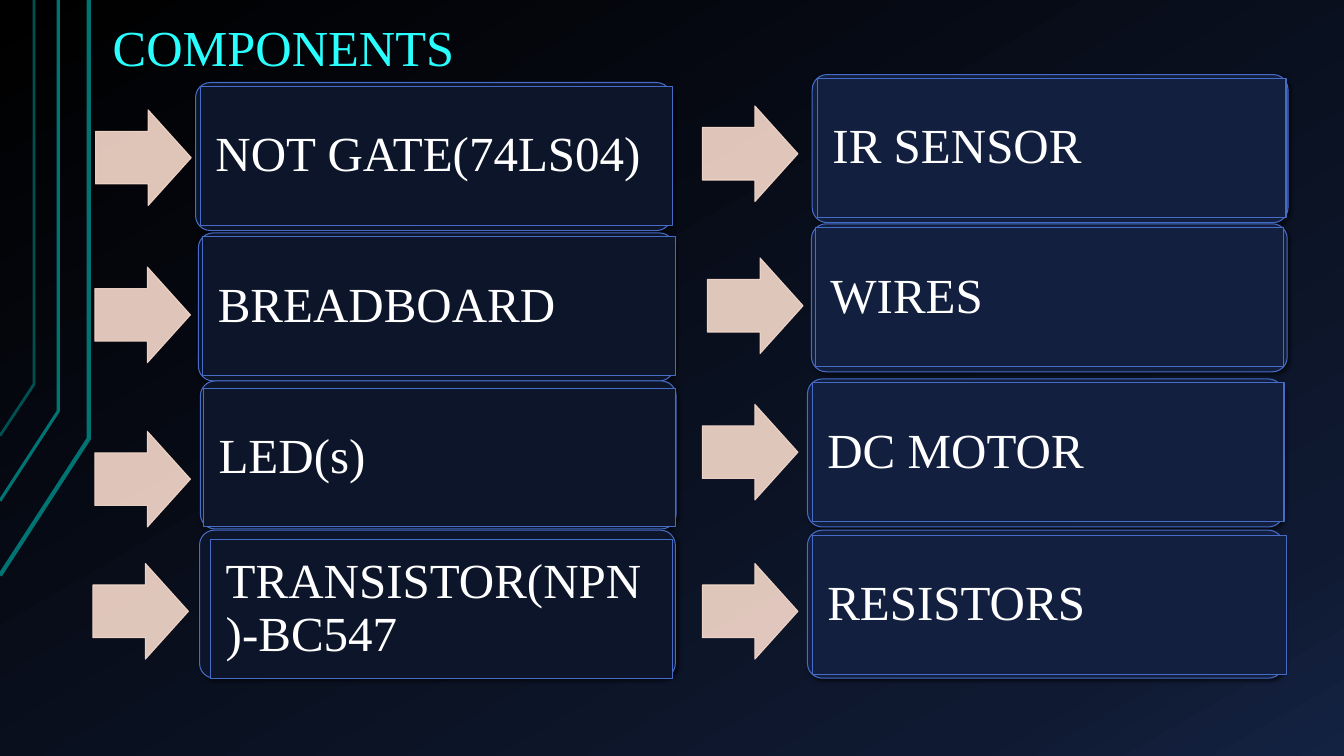
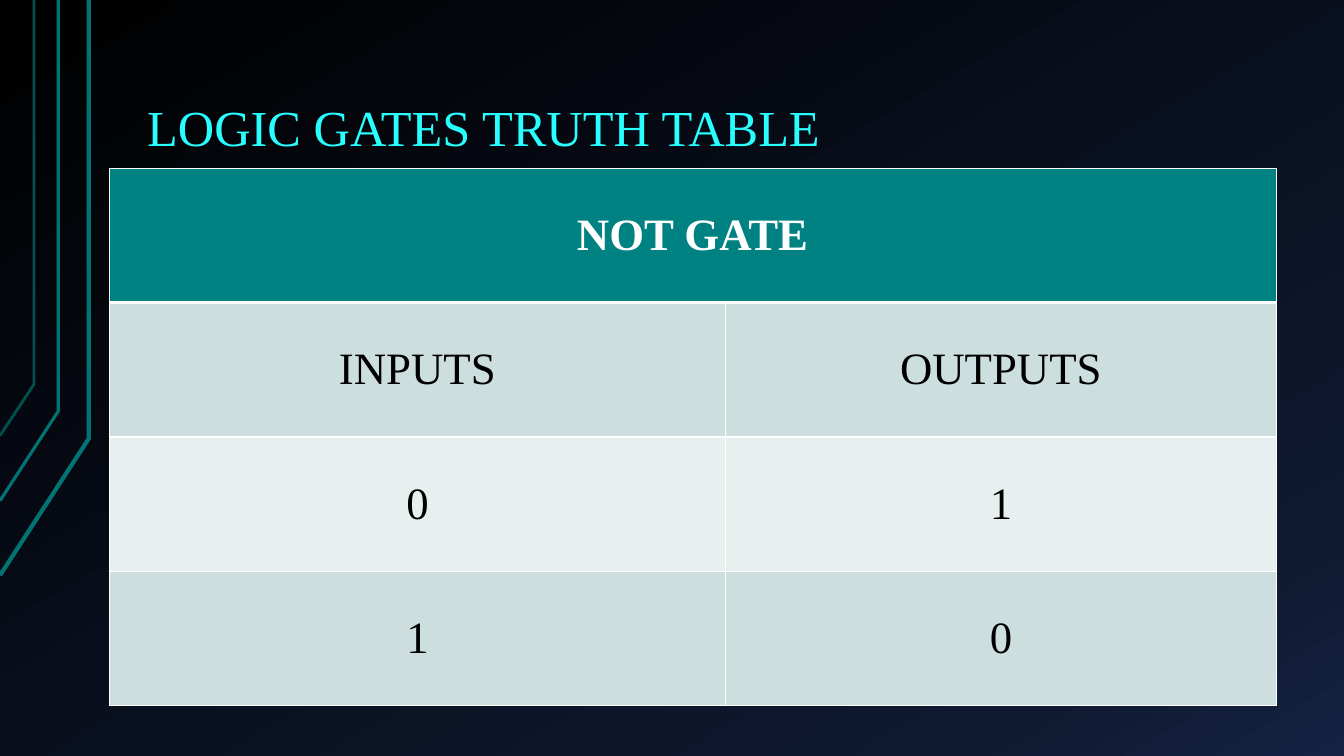
from copy import deepcopy

from lxml import etree
from pptx import Presentation
from pptx import util as u
from pptx.dml import color
from pptx.enum import shapes, text
from pptx.oxml import ns

FONT = "Times New Roman"
WHITE, BLACK = "FFFFFF", "000000"
CYAN, TEAL, DIM_TEAL = "29FFFF", "007373", "005050"
NAVY, BLUE, OUTLINE, PEACH = "0C1529", "131F3E", "466CC7", "F7DACC"
HEADER, BAND_DARK, BAND_LIGHT = "008282", "CCDEDE", "E7EFEF"
BACKDROP = [(0, BLACK), (0.85, "0F1931"), (1, "142242")]
TITLE_W, TITLE_H = 28.78, 3.4
CARD_W, CARD_H, LABEL_H, ARROW = 11.99, 3.73, 3.5, 2.41

# Text, card left and top, label (dx, dy, width), arrow (dx, dy), in cm
LEFT_PARTS = [
    ("NOT GATE(74LS04)", 4.93, 2.08, (0.12, 0.1, 11.89), (-2.52, 0.69)),
    ("BREADBOARD", 5, 5.87, (0.11, 0.1, 11.91), (-2.61, 0.86)),
    ("LED(s)", 5.05, 9.6, (0.08, 0.18, 11.89), (-2.66, 1.27)),
    ("TRANSISTOR(NPN)-BC547", 5.03, 13.36, (0.28, 0.23, 11.63), (-2.69, 0.84)),
]
RIGHT_PARTS = [
    ("IR SENSOR", 20.47, 1.88, (0.13, 0.1, 11.81), (-2.77, 0.79)),
    ("WIRES", 20.45, 5.64, (0.1, 0.1, 11.79), (-2.62, 0.86)),
    ("DC MOTOR", 20.35, 9.55, (0.12, 0.1, 11.89), (-2.65, 0.64)),
    ("RESISTORS", 20.35, 13.36, (0.12, 0.13, 11.96), (-2.65, 0.84)),
]
TRUTH = [("NOT GATE", ""), ("INPUTS", "OUTPUTS"), ("0", "1"), ("1", "0")]


def rgb(value):
    return color.RGBColor.from_string(value)


def sub(parent, tag, **attrs):
    return etree.SubElement(parent, ns.qn(tag), attrs)


def add_run(p, words, size, hex_color, bold=False):
    r = p.add_run()
    r.text = words
    r.font.name, r.font.size, r.font.bold = FONT, u.Pt(size), bold
    r.font.color.rgb = rgb(hex_color)


def set_frame(tf, anchor, margin_x, margin_y):
    tf.word_wrap = True
    tf.auto_size = text.MSO_AUTO_SIZE.NONE
    tf.vertical_anchor = anchor
    tf.margin_left = tf.margin_right = u.Cm(margin_x)
    tf.margin_top = tf.margin_bottom = u.Cm(margin_y)


# Shared backdrop on the master
def paint_background(master):
    fill = master.background.fill
    fill.gradient()
    fill.gradient_angle = 300
    stops = next(master.element.iter(ns.qn("a:gsLst")))
    stops.append(deepcopy(stops[0]))
    for stop, (position, hex_color) in zip(fill.gradient_stops, BACKDROP):
        stop.position = position
        stop.color.rgb = rgb(hex_color)


def add_circuit_lines(slide, master):
    lines = [(2.24, 11.05, 14.5, 3, TEAL), (1.47, 10.36, 12.62, 2.25, TEAL),
             (0.86, 9.68, 10.98, 2, DIM_TEAL)]
    for i, (x, bend, foot, width, hex_color) in enumerate(lines):
        path = slide.shapes.build_freeform(0, u.Cm(foot))
        path.add_line_segments([(u.Cm(x), u.Cm(bend)), (u.Cm(x), 0)], close=False)
        sp = path.convert_to_shape()
        sp.shadow.inherit = False
        sp.fill.background()
        sp.line.color.rgb = rgb(hex_color)
        sp.line.width = u.Pt(width)
        sp.element.nvSpPr.cNvPr.set("id", str(100 + i))
        master.shapes.element.append(sp.element)


def add_title(slide, words, left, top):
    sp = slide.shapes.title
    sp.left, sp.top, sp.width, sp.height = map(u.Cm, (left, top, TITLE_W, TITLE_H))
    set_frame(sp.text_frame, text.MSO_ANCHOR.BOTTOM, 0.33, 0.18)
    p = sp.text_frame.paragraphs[0]
    p.alignment = text.PP_ALIGN.LEFT
    p.line_spacing = 0.9
    add_run(p, words, 36, CYAN)


# Component cards
def add_block(slide, kind, box, fill, line):
    sp = slide.shapes.add_shape(kind, *map(u.Cm, box))
    sp.shadow.inherit = False
    sp.fill.solid()
    sp.fill.fore_color.rgb = rgb(fill)
    sp.line.color.rgb = rgb(line)
    sp.line.width = u.Pt(0.75)
    return sp


def add_shadow(sp):
    effects = sp.element.spPr.find(ns.qn("a:effectLst"))
    shadow = sub(effects, "a:outerShdw", blurRad=str(u.Pt(3)), dist=str(u.Pt(2)),
                 dir="2700000", algn="tl", rotWithShape="0")
    sub(sub(shadow, "a:srgbClr", val=BLACK), "a:alpha", val="60000")


def add_component(slide, words, left, top, label, arrow, fill):
    kinds = shapes.MSO_SHAPE
    card = add_block(slide, kinds.ROUNDED_RECTANGLE, (left, top, CARD_W, CARD_H),
                     fill, OUTLINE)
    card.adjustments[0] = 0.1
    add_shadow(card)

    dx, dy, width = label
    sp = add_block(slide, kinds.RECTANGLE, (left + dx, top + dy, width, LABEL_H),
                   fill, OUTLINE)
    set_frame(sp.text_frame, text.MSO_ANCHOR.MIDDLE, 0.38, 0.38)
    p = sp.text_frame.paragraphs[0]
    p.alignment = text.PP_ALIGN.LEFT
    p.line_spacing = 0.9
    add_run(p, words, 35, WHITE)

    dx, dy = arrow
    sp = add_block(slide, kinds.RIGHT_ARROW, (left + dx, top + dy, ARROW, ARROW),
                   PEACH, PEACH)
    sp.adjustments[0], sp.adjustments[1] = 0.55, 0.45
    for clr in sp.element.spPr.iter(ns.qn("a:srgbClr")):
        sub(clr, "a:alpha", val="90000")


def components_slide(slide):
    add_title(slide, "COMPONENTS", 2.51, -1.27)
    for parts, fill in ((LEFT_PARTS, NAVY), (RIGHT_PARTS, BLUE)):
        for part in parts:
            add_component(slide, *part, fill)


# Truth table
def set_borders(cell, top, bottom):
    tcPr = cell._tc.get_or_add_tcPr()
    for side, width in (("L", 1), ("R", 1), ("T", top), ("B", bottom)):
        ln = sub(tcPr, "a:ln" + side, w=str(u.Pt(width)))
        sub(sub(ln, "a:solidFill"), "a:srgbClr", val=WHITE)


def add_truth_table(slide, left, top, width, height):
    frame = slide.shapes.add_table(len(TRUTH), 2, *map(u.Cm, (left, top, width, height)))
    table = frame.table
    table.first_row = table.horz_banding = False
    first = 15.54
    table.columns[0].width, table.columns[1].width = u.Cm(first), u.Cm(width - first)
    table.cell(0, 0).merge(table.cell(0, 1))
    for i, row in enumerate(TRUTH):
        fill = HEADER if i == 0 else BAND_DARK if i % 2 else BAND_LIGHT
        for j, words in enumerate(row):
            cell = table.cell(i, j)
            set_borders(cell, 3 if i == 1 else 1, 3 if i == 0 else 1)
            cell.fill.solid()
            cell.fill.fore_color.rgb = rgb(fill)
            cell.vertical_anchor = text.MSO_ANCHOR.MIDDLE
            if words:
                p = cell.text_frame.paragraphs[0]
                p.alignment = text.PP_ALIGN.CENTER
                add_run(p, words, 32, BLACK if i else WHITE, bold=i == 0)


def truth_table_slide(slide):
    add_title(slide, "LOGIC GATES TRUTH TABLE", 3.38, 0.76)
    add_truth_table(slide, 2.75, 4.24, 29.41, 13.54)


def main():
    prs = Presentation()
    prs.slide_width, prs.slide_height = u.Cm(33.87), u.Cm(19.05)
    master, title_only = prs.slide_master, prs.slide_layouts[5]
    paint_background(master)
    slide = prs.slides.add_slide(title_only)
    add_circuit_lines(slide, master)
    components_slide(slide)
    truth_table_slide(prs.slides.add_slide(title_only))
    prs.save("out.pptx")


if __name__ == "__main__":
    main()
